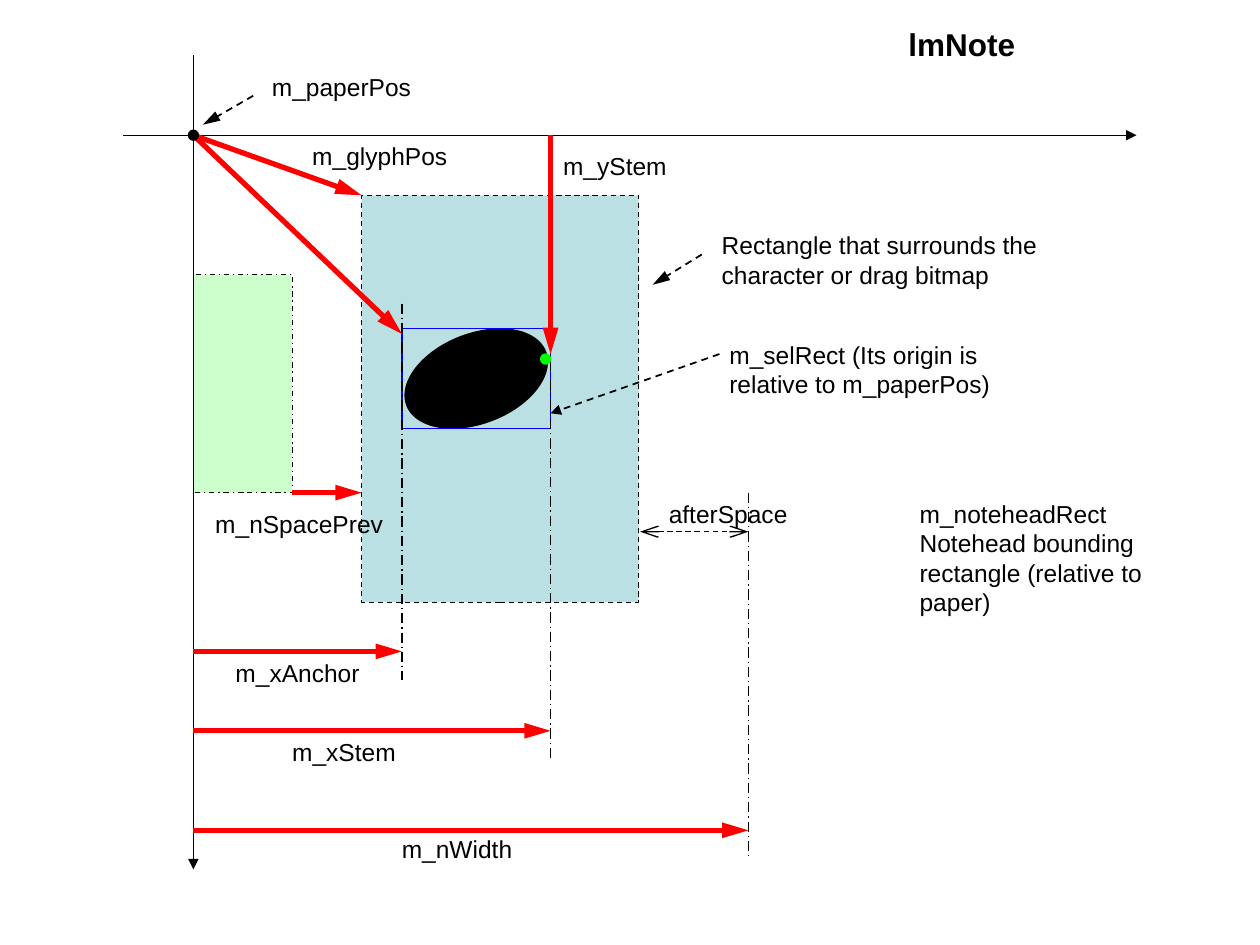
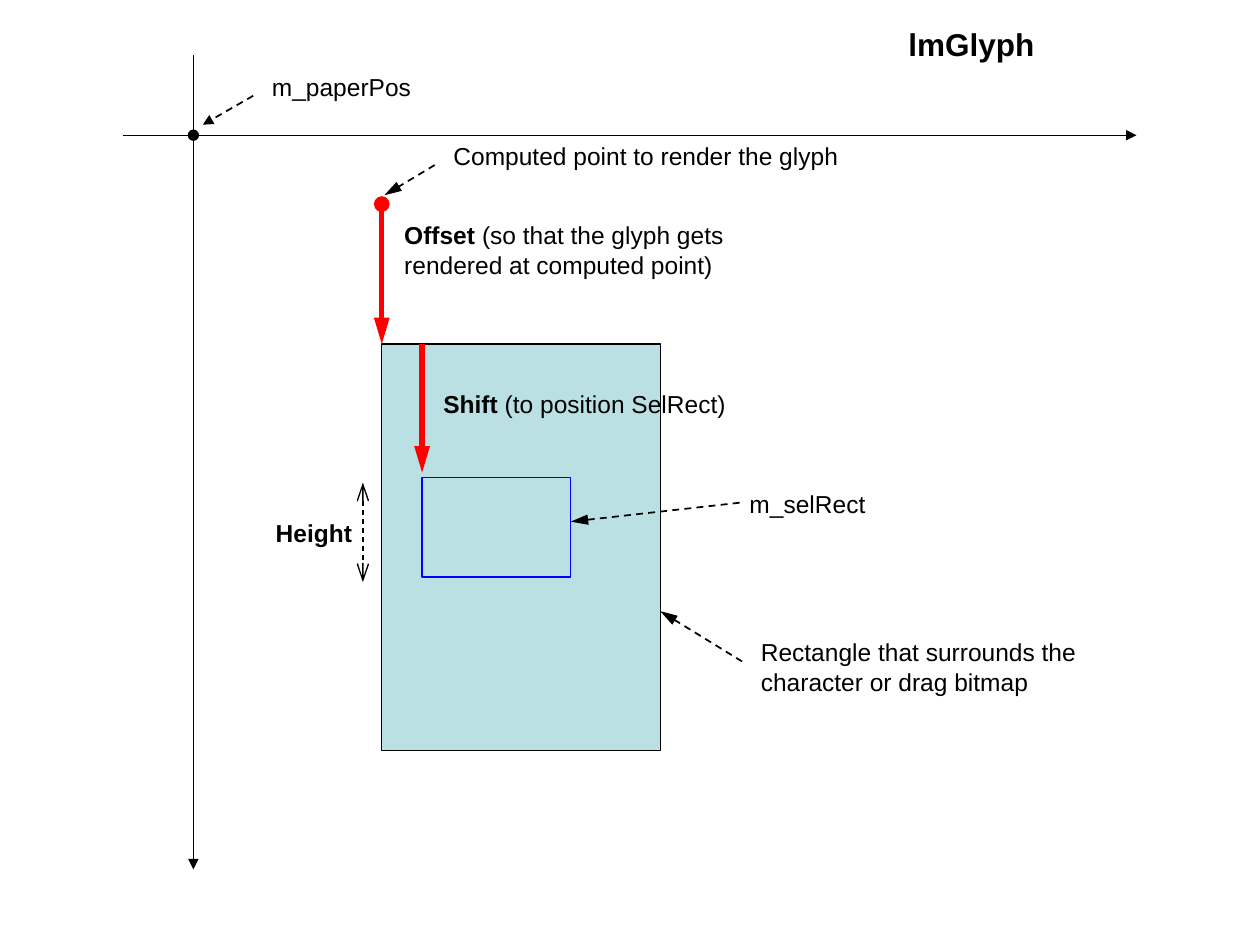
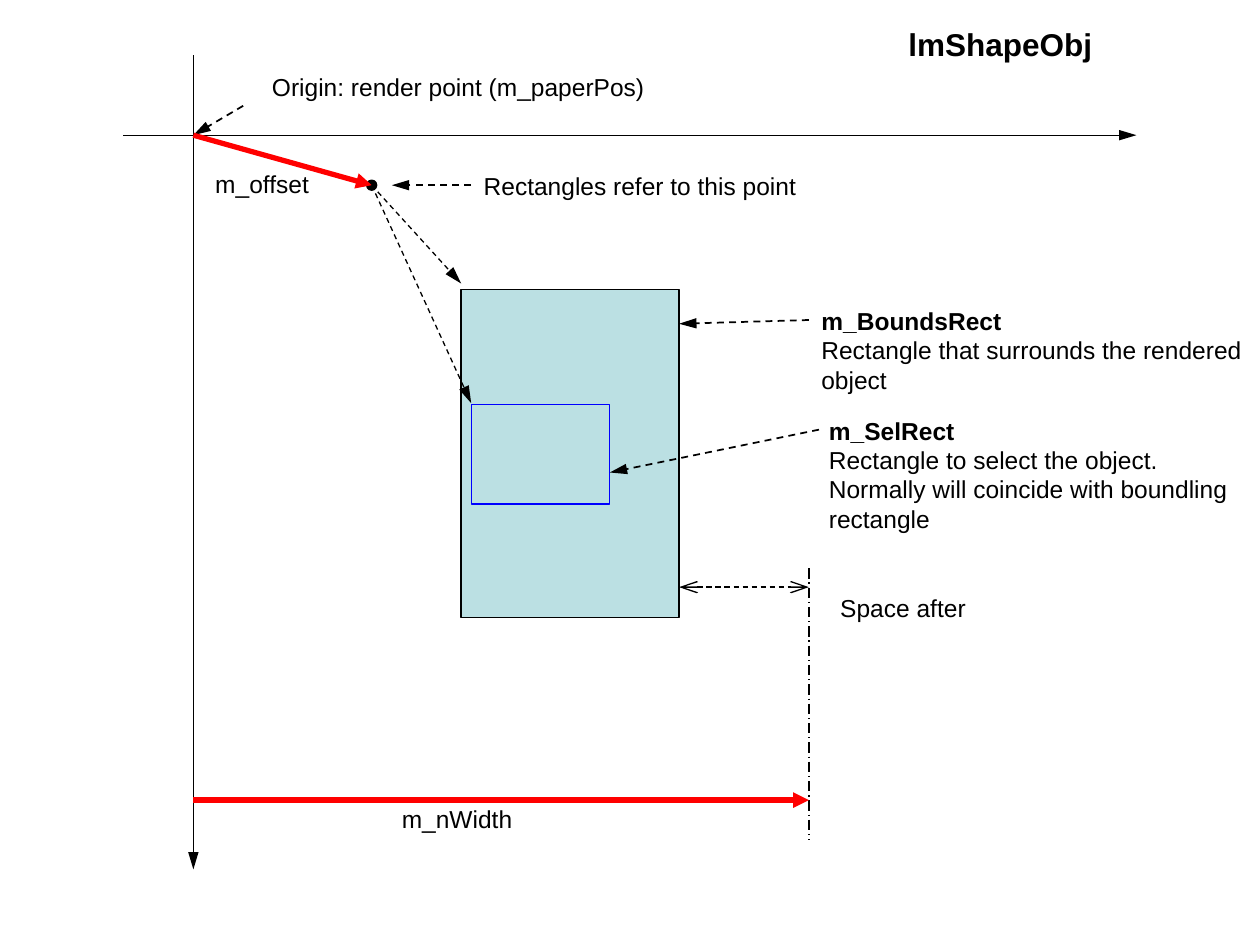
from dataclasses import dataclass
from typing import Optional, Union

from lxml import etree
from pptx import Presentation
from pptx import util as u
from pptx.dml.color import RGBColor
from pptx.enum import dml, shapes, text
from pptx.oxml import ns

COLORS = {"ink": "000000", "vector": "FF0000", "bounds": "BBE0E3",
          "previous": "CCFFCC", "select": "0000FF", "stem": "00FF00"}
DASHES = {"dash": dml.MSO_LINE.DASH, "dash dot": dml.MSO_LINE.DASH_DOT,
          "long dash dot": dml.MSO_LINE.LONG_DASH_DOT}
FONT = "Arial"

# Grid of 100 columns by 75 rows; all positions below are in cells
SLIDE_WIDTH, SLIDE_HEIGHT = u.Inches(10), u.Inches(7.5)
CELL = SLIDE_WIDTH / 100
ORIGIN_X, ORIGIN_Y = 15.35, 10.73
DOT = 0.8
SLACK = 0.3  # spare width that keeps one-line text on its line


@dataclass
class Figure:
    left: float
    top: float
    width: float
    height: float
    fill: Optional[str] = None
    line: str = "ink"
    dash: Optional[str] = None
    oval: bool = False
    rotation: float = 0


@dataclass
class Line:
    x1: float
    y1: float
    x2: float
    y2: float
    color: str = "ink"
    weight: float = 0.75
    dash: Optional[str] = None
    head: Optional[str] = None
    tail: Optional[str] = "triangle"
    long: bool = True


@dataclass
class Label:
    """Text between asterisks is bold; each line break starts a paragraph."""
    words: str
    left: float
    top: float
    width: float
    lines: int = 1


Part = Union[Figure, Line, Label]


# Kinds of part
def dot(x: float, y: float, color: str = "ink") -> Figure:
    return Figure(x - DOT / 2, y - DOT / 2, DOT, DOT, color, color, oval=True)


def vector(x1: float, y1: float, x2: float, y2: float,
           head: Optional[str] = None, long: bool = True) -> Line:
    return Line(x1, y1, x2, y2, "vector", 3, head=head, long=long)


def pointer(x1: float, y1: float, x2: float, y2: float,
            weight: float = 1, long: bool = True) -> Line:
    return Line(x1, y1, x2, y2, weight=weight, dash="dash", long=long)


def measure(x1: float, y1: float, x2: float, y2: float) -> Line:
    return Line(x1, y1, x2, y2, dash="dash", head="arrow", tail="arrow")


def guide(x: float, top: float, bottom: float) -> Line:
    return Line(x, top, x, bottom, dash="long dash dot", tail=None)


def axes(long: bool = False) -> list[Part]:
    return [Line(9.8, ORIGIN_Y, 90.2, ORIGIN_Y, long=long),
            Line(ORIGIN_X, 4.4, ORIGIN_X, 69, long=long)]


def paper_pos(long: bool) -> list[Part]:
    return [pointer(20.1, 7.6, 16.1, 9.9, long=long),
            Label("m_paperPos", 20.6, 5.2, 13)]


def bounds_note(left: float, top: float) -> Label:
    return Label("Rectangle that surrounds the character or drag bitmap",
                 left, top, 27.6, 2)


# Contents of the slides
def note_parts() -> list[Part]:
    previous, glyph, anchor, stem, glyph_end, end = 23.2, 28.7, 31.9, 43.7, 50.8, 59.4
    floor = 39.1
    return [
        Figure(ORIGIN_X, 21.8, previous - ORIGIN_X, floor - 21.8, "previous", dash="dash dot"),
        Figure(glyph, 15.5, 22, 32.3, "bounds", dash="dash"),
        Figure(anchor, 26.5, 11.8, 7.1, "ink", oval=True, rotation=338.8),
        Figure(anchor, 26.1, stem - anchor, 7.9, line="select"),
        guide(anchor, 24.1, 54),
        guide(stem, 22.5, 60.3),
        *axes(),
        *paper_pos(long=True),
        pointer(55.7, 20.2, 51.8, 22.6),
        bounds_note(56.3, 17.8),
        Label("m_glyphPos", 23.8, 10.7, 12.7),
        vector(ORIGIN_X, ORIGIN_Y, glyph, 15.5),
        Label("m_xAnchor", 17.7, 51.7, 11.8),
        vector(ORIGIN_X, 51.7, anchor, 51.7),
        measure(glyph_end, 42.2, end, 42.2),
        guide(end, floor, 68.2),
        pointer(57.1, 28.1, stem, 32.8, long=False),
        Label("m_nWidth", 30.9, 65.7, 10.8),
        Label("afterSpace", 52.1, floor, 11.4),
        vector(ORIGIN_X, 65.9, end, 65.9),
        vector(ORIGIN_X, ORIGIN_Y, anchor, 26.5),
        Label("m_selRect (Its origin is relative to m_paperPos)", 56.9, 26.5, 23.8, 2),
        dot(43.3, 28.5, "stem"),
        vector(ORIGIN_X, 58, stem, 58),
        Label("m_xStem", 22.2, 58, 10.2),
        vector(stem, ORIGIN_Y, stem, 28.1),
        Label("m_yStem", 43.7, 11.5, 10.2),
        dot(ORIGIN_X, ORIGIN_Y),
        Label("m_noteheadRect\nNotehead bounding rectangle (relative to paper)",
              72, floor, 25.2, 4),
        vector(previous, floor, glyph, floor),
        Label("m_nSpacePrev", 16.1, 39.9, 15.3),
    ]


def glyph_parts() -> list[Part]:
    left, top, select = 30.3, 27.3, 33.5
    return [
        Figure(left, top, 22.1, 32.3, "bounds"),
        Figure(select, 37.9, 11.8, 7.9, line="select"),
        *axes(),
        *paper_pos(long=False),
        pointer(58.9, 52.5, 52.4, 48.5),
        bounds_note(59.4, 50.1),
        Label("*Shift *(to position SelRect)", 34.2, 30.4, 24.4),
        vector(select, top, select, 37.5),
        vector(left, 16.2, left, top, head="oval"),
        pointer(58.7, 39.9, 45.3, 41.4),
        Label("m_selRect", 58.5, 38.3, 12),
        dot(ORIGIN_X, ORIGIN_Y),
        Label("*Offset *(so that the glyph gets rendered at computed point)",
              31.1, 17, 30.7, 2),
        measure(28.8, 38.3, 28.8, 46.2),
        Label("*Height*", 20.9, 40.6, 8),
        pointer(34.5, 13.1, 30.5, 15.5),
        Label("Computed point to render the glyph", 35, 10.7, 32.5),
    ]


def shape_parts() -> list[Part]:
    left, right, select, end = 36.6, 53.9, 37.4, 64.2
    ref_x, ref_y = 29.5, 14.7
    return [
        Figure(left, 23, right - left, 26, "bounds"),
        *axes(long=True),
        pointer(19.3, 8.4, ORIGIN_X, ORIGIN_Y),
        Label("Origin: render point (m_paperPos)", 20.6, 5.2, 31.6),
        pointer(end, 25.4, right, 25.7),
        Label("*m_BoundsRect*\nRectangle that surrounds the rendered object",
              64.2, 23.8, 35.8, 3),
        pointer(65, 34.1, 48.4, 37.5),
        Label("*m_SelRect*\nRectangle to select the object. "
              "Normally will coincide with boundling rectangle", 64.8, 32.5, 35.2, 4),
        dot(ref_x, ref_y),
        pointer(ref_x, ref_y, left, 22.5, weight=0.75),
        Label("Rectangles refer to this point", 37.4, 13.1, 38.6),
        pointer(37.4, ref_y, 31.1, ref_y),
        vector(ORIGIN_X, ORIGIN_Y, ref_x, ref_y, long=False),
        Label("m_offset", 16.1, 12.9, 9.5),
        pointer(ref_x, ref_y, select, 32, weight=0.75),
        Figure(select, 32.1, 11, 7.9, line="select"),
        measure(right, 46.6, end, 46.6),
        guide(end, 45.1, 66.6),
        Label("m_nWidth", 30.9, 63.3, 10.8),
        Label("Space after", 65.7, 46.6, 11.9),
        vector(ORIGIN_X, 63.5, end, 63.5, long=False),
    ]


# Drawing
def cells(*values: float) -> list[int]:
    return [round(value * CELL) for value in values]


def rgb(name: str) -> RGBColor:
    return RGBColor.from_string(COLORS[name])


def style_line(line, color: str, weight: float, dash: Optional[str]) -> None:
    line.color.rgb = rgb(color)
    line.width = u.Pt(weight)
    if dash:
        line.dash_style = DASHES[dash]


def draw_figure(page, part: Figure) -> None:
    kind = shapes.MSO_SHAPE.OVAL if part.oval else shapes.MSO_SHAPE.RECTANGLE
    shape = page.shapes.add_shape(kind, *cells(part.left, part.top, part.width, part.height))
    shape.rotation = part.rotation
    shape.shadow.inherit = False
    if part.fill:
        shape.fill.solid()
        shape.fill.fore_color.rgb = rgb(part.fill)
    else:
        shape.fill.background()
    style_line(shape.line, part.line, 0.75, part.dash)


def draw_line(page, part: Line) -> None:
    connector = page.shapes.add_connector(
        shapes.MSO_CONNECTOR.STRAIGHT, *cells(part.x1, part.y1, part.x2, part.y2))
    style_line(connector.line, part.color, part.weight, part.dash)
    properties = connector._element.spPr
    outline = properties.find(ns.qn("a:ln"))
    for tag, end in (("a:headEnd", part.head), ("a:tailEnd", part.tail)):
        if end:
            size = "lg" if part.long and end != "oval" else "med"
            etree.SubElement(outline, ns.qn(tag), type=end, w="med", len=size)
    etree.SubElement(properties, ns.qn("a:effectLst"))


def fill_text(box, words: str, size: float, wrap: bool) -> None:
    lines = words.split("\n")
    frame = box.text_frame
    frame.word_wrap = wrap
    frame.auto_size = text.MSO_AUTO_SIZE.SHAPE_TO_FIT_TEXT
    frame.vertical_anchor = text.MSO_ANCHOR.TOP
    for _ in lines[1:]:
        frame.add_paragraph()
    for para, line in zip(frame.paragraphs, lines):
        para.alignment = text.PP_ALIGN.LEFT
        for index, piece in enumerate(line.split("*")):
            if piece:
                span = para.add_run()
                span.text = piece
                span.font.name = FONT
                span.font.size = u.Pt(size)
                span.font.bold = index % 2 == 1
                span.font.color.rgb = rgb("ink")


def draw_label(page, part: Label) -> None:
    wrap = part.lines > 1
    width = part.width if wrap else part.width + SLACK
    height = 1 + 2.35 * part.lines
    box = page.shapes.add_textbox(*cells(part.left, part.top, width, height))
    fill_text(box, part.words, 14, wrap)


def draw_title(page, words: str, width: float) -> None:
    title = page.shapes.title
    title.left, title.top, title.width, title.height = cells(71.1, 1.5, width + SLACK, 4)
    fill_text(title, f"*{words}*", 18, wrap=False)


DRAW = {Figure: draw_figure, Line: draw_line, Label: draw_label}


def main() -> None:
    deck = Presentation()
    deck.slide_width, deck.slide_height = SLIDE_WIDTH, SLIDE_HEIGHT
    for title, width, parts in (("lmNote", 10.4, note_parts()),
                                ("lmGlyph", 12, glyph_parts()),
                                ("lmShapeObj", 16.6, shape_parts())):
        page = deck.slides.add_slide(deck.slide_layouts[5])
        draw_title(page, title, width)
        for part in parts:
            DRAW[type(part)](page, part)
    deck.save("out.pptx")


if __name__ == "__main__":
    main()
